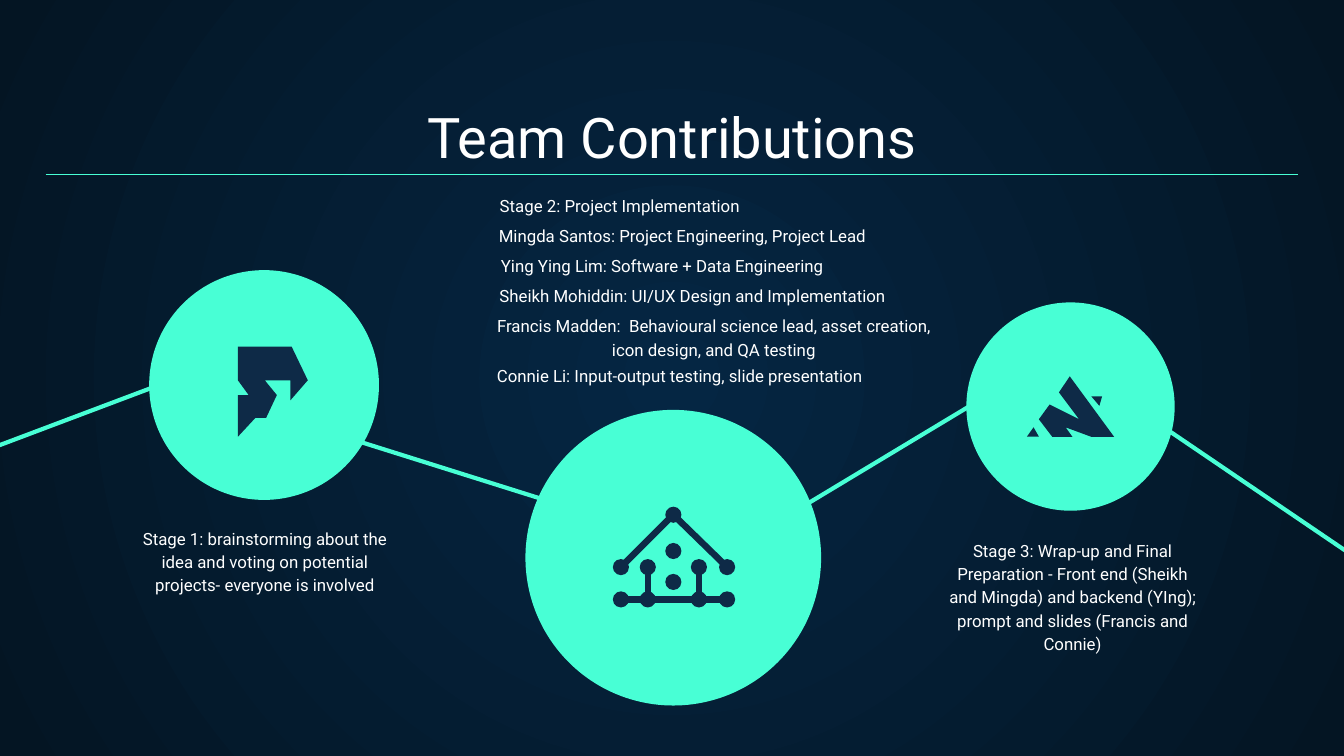
"""Builds the team contributions slide."""
from lxml import etree
from pptx import Presentation
from pptx.dml.color import RGBColor
from pptx.enum.shapes import MSO_CONNECTOR, MSO_SHAPE
from pptx.enum.text import MSO_ANCHOR, PP_ALIGN
from pptx.oxml.ns import qn
from pptx.util import Pt

PX = 9144
MINT = RGBColor(0x48, 0xFF, 0xD5)
NAVY = RGBColor(0x0E, 0x2A, 0x47)
WHITE = RGBColor(0xFF, 0xFF, 0xFF)
GLOW = RGBColor(0x05, 0x26, 0x43)
DEEP = RGBColor(0x04, 0x15, 0x23)
FONT = "Roboto"
OVAL = MSO_SHAPE.OVAL
STRAIGHT = MSO_CONNECTOR.STRAIGHT
CENTER = PP_ALIGN.CENTER
TOP = MSO_ANCHOR.TOP
BOTTOM = MSO_ANCHOR.BOTTOM

STAGE_CIRCLES = [(111, 201, 171), (391, 305, 220), (719, 225, 155)]
PATH_LINES = [
    (256, 325, 431, 380),
    (549, 406, 745, 288),
    (141, 278, -66, 356),
    (1025, 426, 835, 297),
]

HOUSE_NODES = [
    (501, 383), (501, 410), (501, 433),
    *[(x, y) for y in (422, 446) for x in (462, 482, 520, 541)],
]
HOUSE_EDGES = [
    (501, 383, 462, 422),
    (501, 383, 541, 422),
    (482, 422, 482, 446),
    (520, 422, 520, 446),
    (462, 446, 541, 446),
]
NODE_SIZE = 12

ICON_OUTLINES = [
    [(177, 258), (177, 283), (185, 294), (177, 294), (177, 325), (190, 311), (198, 311),
     (206, 294), (197, 283), (216, 283), (216, 298), (229, 283), (217, 258)],
    [(769, 318), (764, 325), (773, 325)],
    [(812, 295), (818, 302), (820, 295)],
    [(796, 280), (788, 292), (803, 312), (781, 301), (773, 312), (783, 325),
     (798, 325), (793, 318), (812, 325), (829, 325)],
]

STAGE_TEXTS = [
    (87, 381, 220, 118,
     "Stage 1: brainstorming about the idea and voting on potential projects- everyone is involved"),
    (358, 135, 206, 30, "Stage 2: Project Implementation"),
    (357, 157, 301, 37, "Mingda Santos: Project Engineering, Project Lead"),
    (342, 179, 301, 37, "Ying Ying Lim: Software + Data Engineering"),
    (339, 202, 352, 37, "Sheikh Mohiddin: UI/UX Design and Implementation"),
    (355, 223, 352, 37,
     "Francis Madden:  Behavioural science lead, asset creation, icon design, and QA testing"),
    (337, 261, 337, 37, "Connie Li: Input-output testing, slide presentation"),
    (695, 390, 206, 55,
     "Stage 3: Wrap-up and Final Preparation - Front end (Sheikh and Mingda) and backend (YIng); "
     "prompt and slides (Francis and Connie)"),
]


class SlideBuilder:
    """Holds the slide and draws each kind of element in its style."""

    def __init__(self, slide):
        self.slide = slide
        self.shapes = slide.shapes

    def background(self, center, edge):
        fill = self.slide.background.fill
        fill.gradient()
        for stop, color in zip(fill.gradient_stops, (center, edge)):
            stop.color.rgb = color
        linear = self.slide.element.find(".//" + qn("a:lin"))
        path = etree.Element(qn("a:path"), path="circle")
        sides = dict.fromkeys("ltrb", "50000")
        etree.SubElement(path, qn("a:fillToRect"), sides)
        linear.getparent().replace(linear, path)

    def paint(self, shape, color):
        shape.shadow.inherit = False
        shape.fill.solid()
        shape.fill.fore_color.rgb = color
        shape.line.fill.background()

    def circle(self, left, top, size, color):
        shape = self.shapes.add_shape(OVAL, left * PX, top * PX, size * PX, size * PX)
        self.paint(shape, color)

    def outline(self, points, color):
        builder = self.shapes.build_freeform(*points[0], scale=PX)
        builder.add_line_segments(points[1:], close=True)
        self.paint(builder.convert_to_shape(), color)

    def line(self, ends, color, width):
        connector = self.shapes.add_connector(STRAIGHT, *(value * PX for value in ends))
        connector.line.color.rgb = color
        connector.line.width = Pt(width)
        etree.SubElement(connector.element.spPr, qn("a:effectLst"))

    def text(self, left, top, width, height, words, size=9, spacing=1.15, anchor=TOP):
        box = self.shapes.add_textbox(left * PX, top * PX, width * PX, height * PX)
        frame = box.text_frame
        frame.word_wrap = True
        frame.vertical_anchor = anchor
        frame.margin_left = frame.margin_right = 10 * PX
        frame.margin_top = frame.margin_bottom = 10 * PX
        paragraph = frame.paragraphs[0]
        paragraph.text = words
        paragraph.alignment = CENTER
        paragraph.line_spacing = spacing
        paragraph.font.name = FONT
        paragraph.font.size = Pt(size)
        paragraph.font.color.rgb = WHITE


def main():
    presentation = Presentation()
    presentation.slide_width = 1000 * PX
    presentation.slide_height = 1125 * PX // 2
    builder = SlideBuilder(presentation.slides.add_slide(presentation.slide_layouts[6]))

    builder.background(GLOW, DEEP)
    builder.text(34, 70, 932, 66, "Team Contributions", size=30, spacing=1.0, anchor=BOTTOM)
    for left, top, size in STAGE_CIRCLES:
        builder.circle(left, top, size, MINT)
    for ends in PATH_LINES:
        builder.line(ends, MINT, 2.25)
    for ends in HOUSE_EDGES:
        builder.line(ends, NAVY, 3.5)
    for x, y in HOUSE_NODES:
        builder.circle(x - NODE_SIZE // 2, y - NODE_SIZE // 2, NODE_SIZE, NAVY)
    for points in ICON_OUTLINES:
        builder.outline(points, NAVY)
    builder.line((34, 130, 966, 130), MINT, 0.75)
    for entry in STAGE_TEXTS:
        builder.text(*entry)

    presentation.save("out.pptx")


if __name__ == "__main__":
    main()
